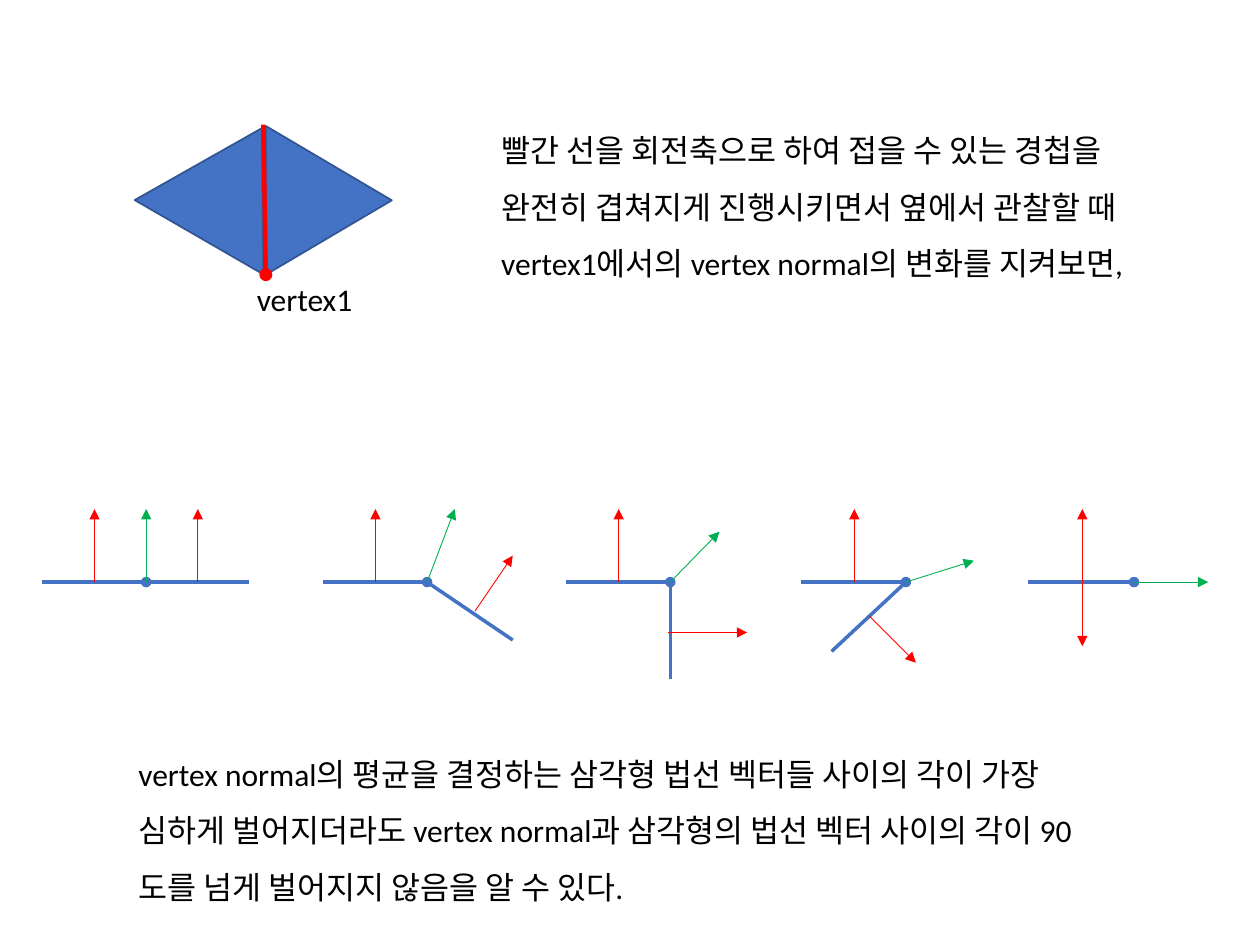
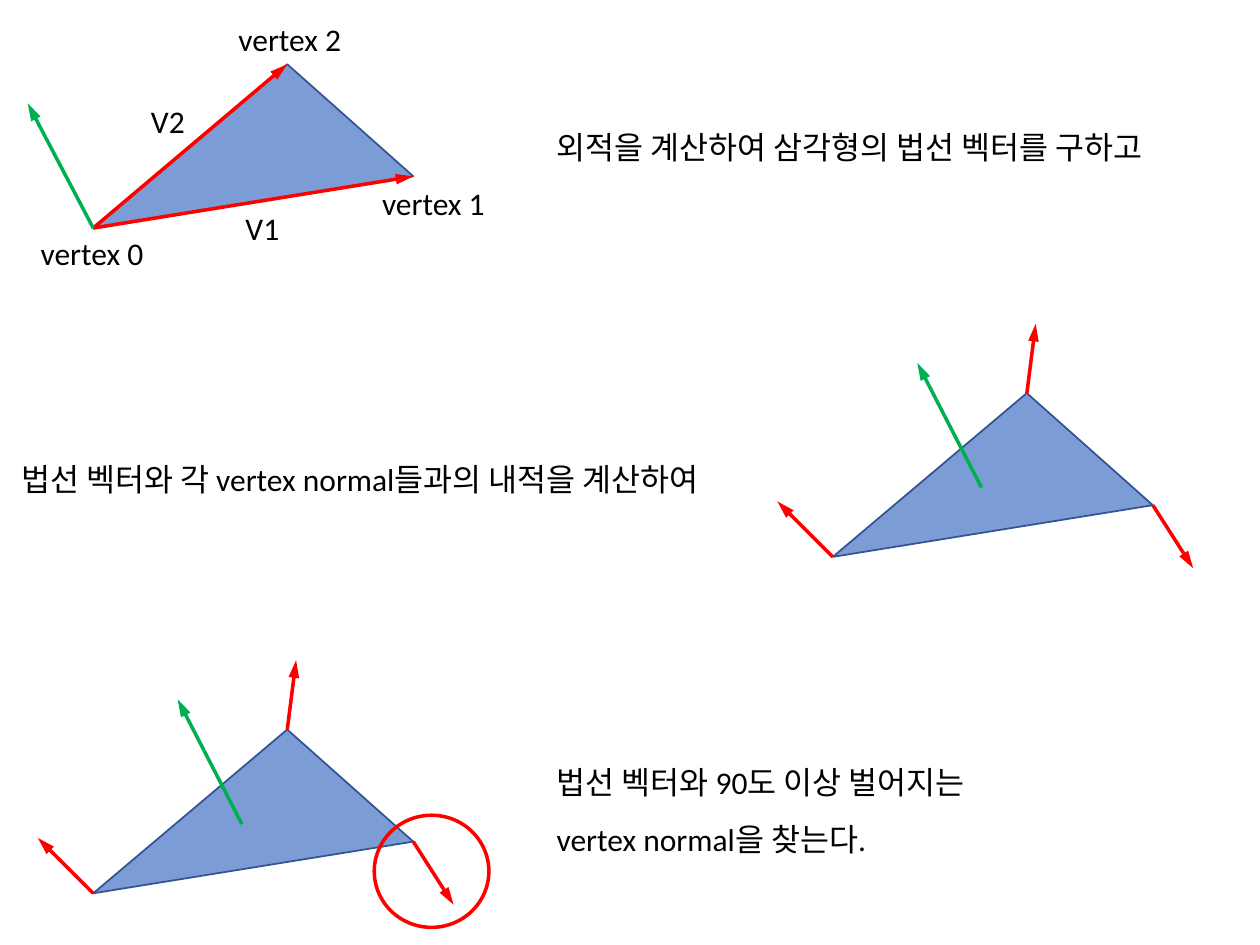
from pptx import Presentation
from pptx.dml.color import RGBColor
from pptx.enum.shapes import MSO_CONNECTOR, MSO_SHAPE
from pptx.enum.text import MSO_AUTO_SIZE, PP_ALIGN
from pptx.oxml.ns import qn
from pptx.util import Inches, Pt
from lxml.etree import SubElement

COLORS = {"face": "4472C4", "edge": "325491", "red": "FF0000",
          "green": "00B050", "text": "000000"}
FONT = "Calibri"


def rgb(name):
    return RGBColor.from_string(COLORS[name])


def write_text(frame, lines, size=18, color="text", spacing=None, align=None):
    """Fill a text frame with one paragraph per line."""
    for index, line in enumerate(lines):
        paragraph = frame.paragraphs[0] if index == 0 else frame.add_paragraph()
        paragraph.line_spacing = spacing
        paragraph.alignment = align
        run = paragraph.add_run()
        run.text = line
        run.font.size = Pt(size)
        run.font.name = FONT
        run.font.color.rgb = rgb(color)


class Sketch:
    """Holds the presentation, the current slide and the drawing style."""

    def __init__(self):
        self.deck = Presentation()
        self.deck.slide_width, self.deck.slide_height = Inches(10), Inches(7.5)
        self.slide = None

    def new_slide(self):
        self.slide = self.deck.slides.add_slide(self.deck.slide_layouts[6])

    def text(self, left, top, width, height, *lines, wrap=True, **style):
        box = self.slide.shapes.add_textbox(
            Inches(left), Inches(top), Inches(width), Inches(height))
        box.text_frame.word_wrap = wrap
        box.text_frame.auto_size = MSO_AUTO_SIZE.SHAPE_TO_FIT_TEXT
        write_text(box.text_frame, lines, **style)

    def paint(self, shape, fill, line, width):
        shape.shadow.inherit = False
        if fill:
            shape.fill.solid()
            shape.fill.fore_color.rgb = rgb(fill)
        else:
            shape.fill.background()
        shape.line.color.rgb = rgb(line)
        shape.line.width = Pt(width)

    def preset(self, kind, left, top, width, height, fill=None, line="edge",
               line_width=1, rotation=0):
        shape = self.slide.shapes.add_shape(
            kind, Inches(left), Inches(top), Inches(width), Inches(height))
        shape.rotation = rotation
        self.paint(shape, fill, line, line_width)

    def polygon(self, points, opacity=70):
        (start_x, start_y), *others = points
        builder = self.slide.shapes.build_freeform(Inches(start_x), Inches(start_y))
        builder.add_line_segments([(Inches(x), Inches(y)) for x, y in others])
        shape = builder.convert_to_shape()
        self.paint(shape, "face", "edge", 1)
        color = shape.fill._xPr.find(qn("a:solidFill"))[0]
        SubElement(color, qn("a:alpha"), val=str(opacity * 1000))

    def line(self, start, end, color, width=2, head=None, tail=None, length="med"):
        connector = self.slide.shapes.add_connector(
            MSO_CONNECTOR.STRAIGHT, *(Inches(value) for value in (*start, *end)))
        connector.line.color.rgb = rgb(color)
        connector.line.width = Pt(width)
        outline = connector.line._get_or_add_ln()
        for tag, kind in (("a:headEnd", head), ("a:tailEnd", tail)):
            if kind:
                SubElement(outline, qn(tag), type=kind, w="med", len=length)
        SubElement(connector._element.spPr, qn("a:effectLst"))

    def thin_arrow(self, start, end, color="red"):
        self.line(start, end, color, width=0.5, tail="triangle")

    def bold_arrow(self, start, end, color="red"):
        self.line(start, end, color, tail="triangle", length="lg")


def shifted(origin, offset):
    return origin[0] + offset[0], origin[1] + offset[1]


# Folding stages: left end, then offsets from the hinge:
# flap end, flap normal start and end, vertex normal end
STAGES = [
    (0.33, (0.82, 0), (0.41, 0), (0.41, -0.58), (0, -0.58)),
    (2.56, (0.68, 0.46), (0.38, 0.23), (0.68, -0.21), (0.22, -0.58)),
    (4.49, (0, 0.77), (-0.02, 0.4), (0.61, 0.4), (0.39, -0.4)),
    (6.36, (-0.59, 0.55), (-0.29, 0.27), (0.08, 0.64), (0.54, -0.17)),
    (8.17, (-0.84, 0), (-0.41, 0), (-0.41, 0.51), (0.59, 0)),
]
HINGE_Y, NORMAL_LENGTH = 4.62, 0.58

# Triangle corners and normals, as offsets from its top left
APEX, BASE, RIGHT = (1.54, 0), (0, 1.3), (2.54, 0.89)
VERTEX_NORMALS = [(APEX, (1.61, -0.55)), (BASE, (-0.44, 0.86)),
                  (RIGHT, (2.86, 1.39))]
FACE_NORMAL = (1.18, 0.75), (0.67, -0.24)


def draw_stage(sketch, left, flap, foot, tip, average):
    hinge = (left + 0.83, HINGE_Y)
    middle = (left + 0.42, HINGE_Y)
    sketch.line((left, HINGE_Y), (left + 0.81, HINGE_Y), "face")
    sketch.line(hinge, shifted(hinge, flap), "face", head="oval")
    sketch.thin_arrow(middle, shifted(middle, (0, -NORMAL_LENGTH)))
    sketch.thin_arrow(shifted(hinge, foot), shifted(hinge, tip))
    sketch.thin_arrow(hinge, shifted(hinge, average), "green")


def draw_triangle(sketch, origin):
    sketch.polygon([shifted(origin, corner) for corner in (APEX, BASE, RIGHT)])


def draw_normals(sketch, origin):
    for corner, tip in VERTEX_NORMALS:
        sketch.bold_arrow(shifted(origin, corner), shifted(origin, tip))
    foot, tip = FACE_NORMAL
    sketch.bold_arrow(shifted(origin, foot), shifted(origin, tip), "green")


def folding_slide(sketch):
    sketch.new_slide()
    # Hinge seen from above
    for left, top, rotation in ((1.24, 0.95, 30), (2.02, 1.09, 90)):
        sketch.preset(MSO_SHAPE.ISOSCELES_TRIANGLE, left, top, 1.18, 1,
                      fill="face", rotation=rotation)
    sketch.line((2.09, 0.99), (2.11, 2.18), "red", width=2.5, tail="oval")
    sketch.text(1.94, 2.17, 1.07, 0.4, "vertex1")
    sketch.text(3.88, 0.84, 5.66, 1.41,
                "빨간 선을 회전축으로 하여 접을 수 있는 경첩을",
                "완전히 겹쳐지게 진행시키면서 옆에서 관찰할 때",
                "vertex1에서의 vertex normal의 변화를 지켜보면,", spacing=1.5)
    # Side views
    for stage in STAGES:
        draw_stage(sketch, *stage)
    # Conclusion
    sketch.text(1, 5.79, 7.91, 1.46,
                "vertex normal의 평균을 결정하는 삼각형 법선 벡터들 사이의 각이 가장 "
                "심하게 벌어지더라도 vertex normal과 삼각형의 법선 벡터 사이의 각이 "
                "90도를 넘게 벌어지지 않음을 알 수 있다.", spacing=1.5)


def search_slide(sketch):
    sketch.new_slide()
    cross, dot, search = (0.74, 0.51), (6.61, 3.12), (0.74, 5.79)
    for origin in (cross, dot, search):
        draw_triangle(sketch, origin)

    # Cross product
    base = shifted(cross, BASE)
    for corner in (RIGHT, APEX):
        sketch.bold_arrow(base, shifted(cross, corner))
    sketch.bold_arrow(base, shifted(cross, (-0.52, 0.31)), "green")
    for number, (left, top) in enumerate(((0.22, 1.81), (2.93, 1.41), (1.79, 0.11))):
        sketch.text(left, top, 1.02, 0.4, f"vertex {number}",
                    wrap=False, align=PP_ALIGN.CENTER)
    sketch.text(1.85, 1.61, 0.5, 0.4, "V1")
    sketch.text(1.1, 0.76, 0.5, 0.4, "V2")
    sketch.text(4.32, 0.82, 5.27, 0.56,
                "외적을 계산하여 삼각형의 법선 벡터를 구하고", spacing=1.5)

    # Dot products
    draw_normals(sketch, dot)
    sketch.text(0.07, 3.6, 5.94, 0.4,
                "법선 벡터와 각 vertex normal들과의 내적을 계산하여")

    # Search for the wide angle
    draw_normals(sketch, search)
    sketch.text(4.32, 5.86, 5.27, 0.96, "법선 벡터와 90도 이상 벌어지는",
                "vertex normal을 찾는다.", spacing=1.5)
    sketch.preset(MSO_SHAPE.OVAL, 2.97, 6.47, 0.91, 0.89, line="red", line_width=2)


def main():
    sketch = Sketch()
    folding_slide(sketch)
    search_slide(sketch)
    sketch.deck.save("out.pptx")


if __name__ == "__main__":
    main()
